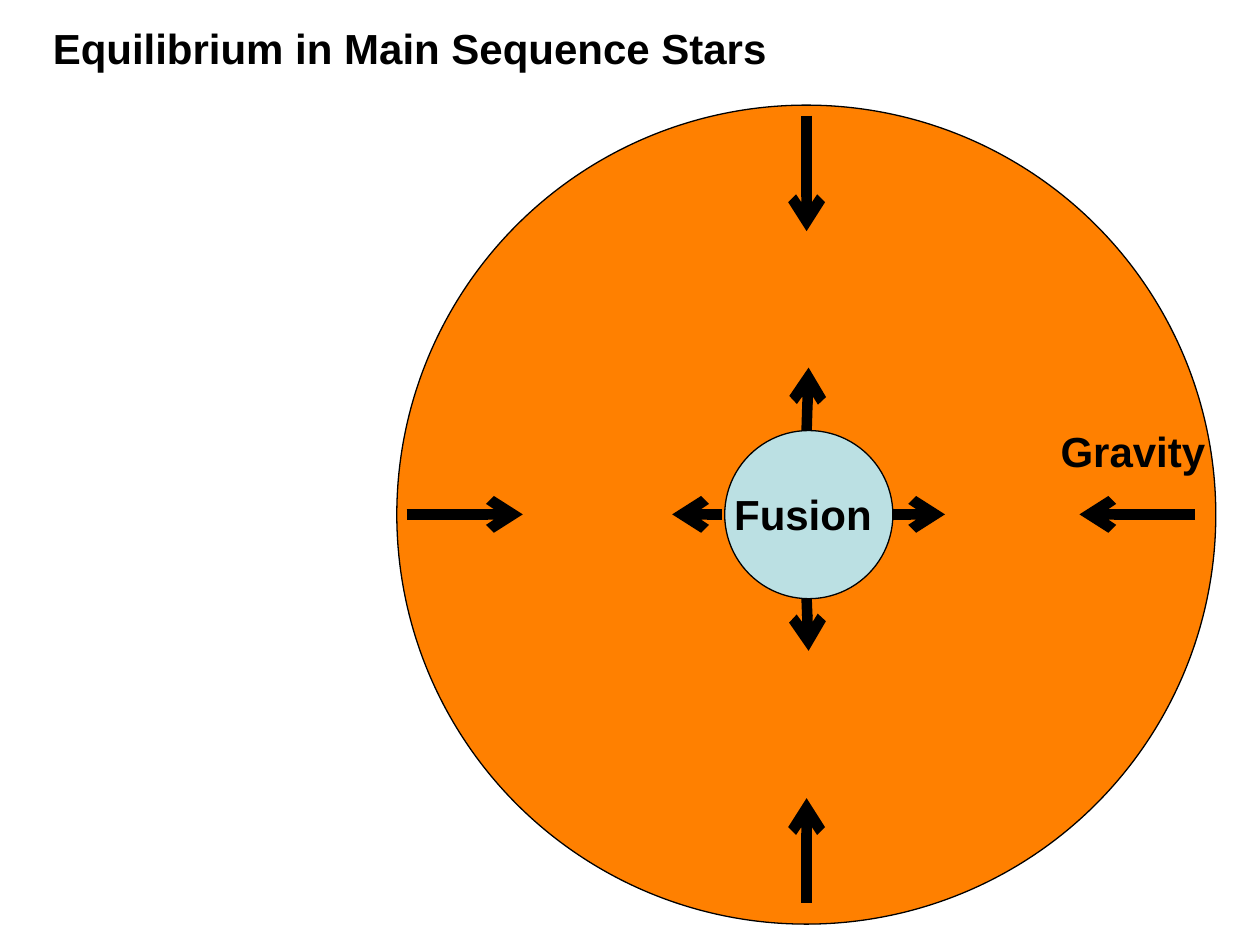
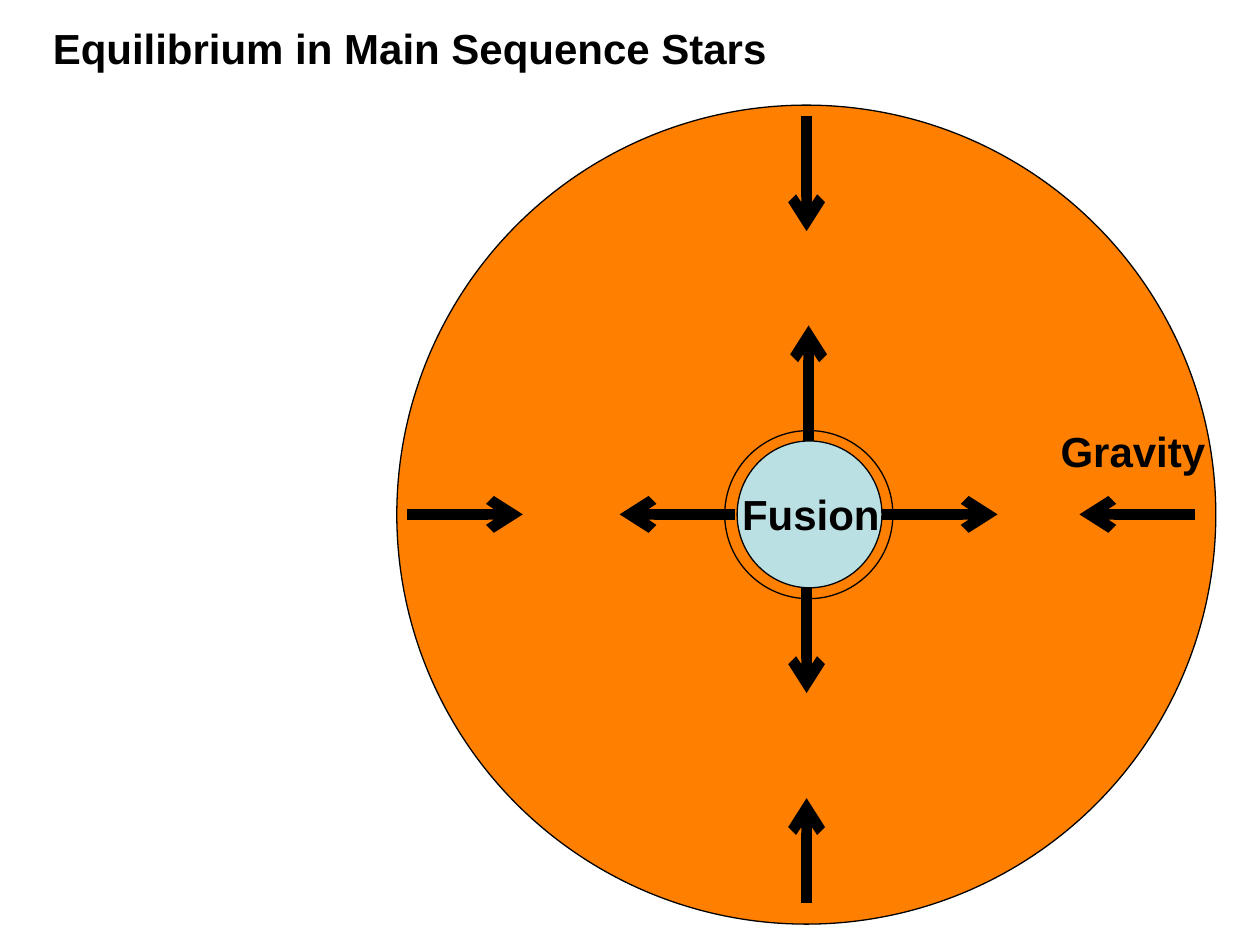
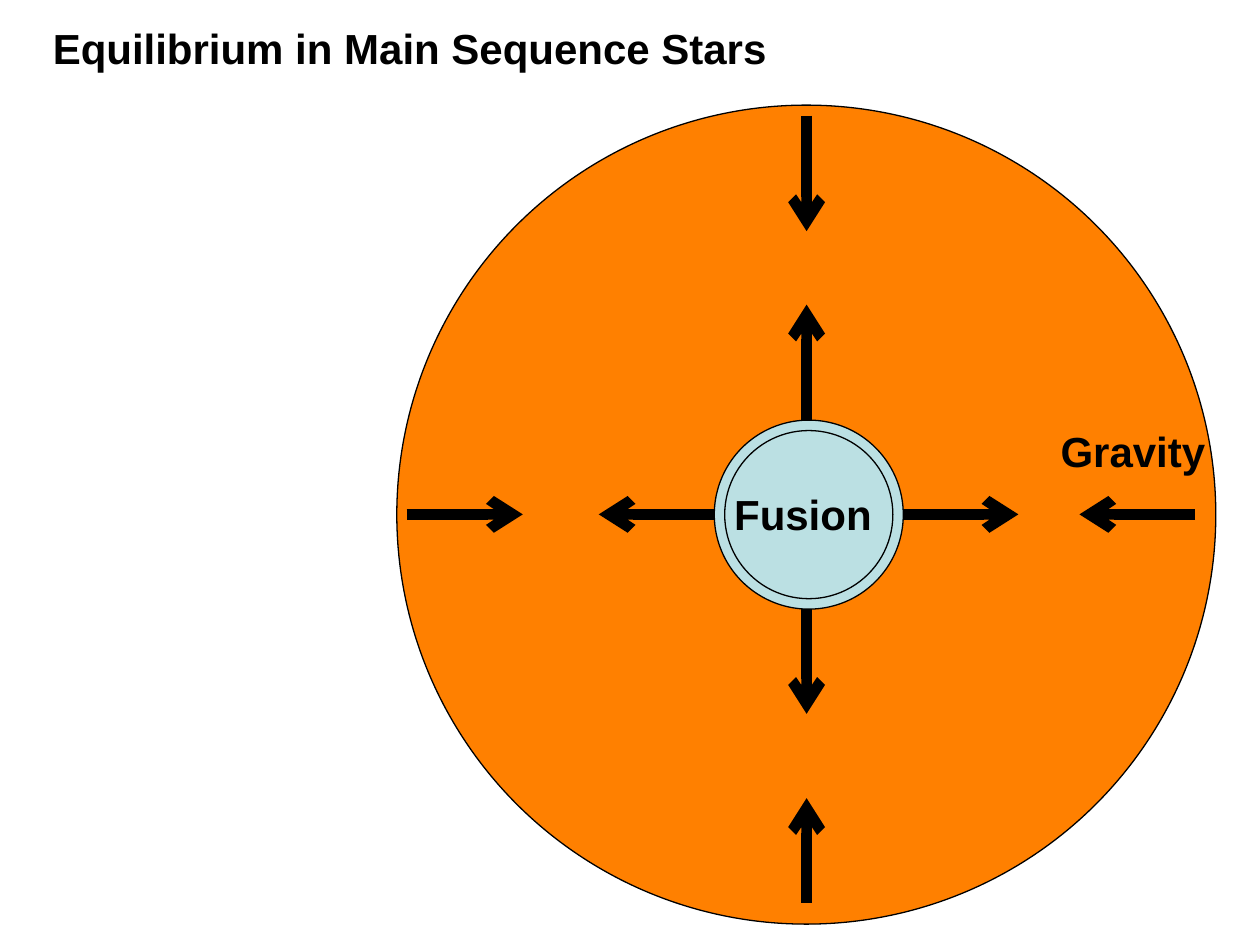
"""Build three slides on the balance of gravity and fusion in main sequence stars."""
from dataclasses import dataclass

from lxml.etree import SubElement
from pptx import Presentation
from pptx.dml.color import RGBColor
from pptx.enum.shapes import MSO_CONNECTOR, MSO_SHAPE
from pptx.enum.text import MSO_ANCHOR, MSO_AUTO_SIZE, PP_ALIGN
from pptx.oxml.ns import qn
from pptx.util import Cm, Pt


@dataclass(frozen=True)
class Theme:
    ink: RGBColor = RGBColor(0x00, 0x00, 0x00)
    star: RGBColor = RGBColor(0xFF, 0x80, 0x00)
    core: RGBColor = RGBColor(0xBB, 0xE0, 0xE3)
    font: str = "Arial"
    text_size: Pt = Pt(24)
    outline: Pt = Pt(0.75)
    force: Pt = Pt(6)


THEME = Theme()


def write(frame, wording):
    frame.word_wrap = False
    frame.auto_size = MSO_AUTO_SIZE.NONE
    frame.vertical_anchor = MSO_ANCHOR.TOP
    paragraph = frame.paragraphs[0]
    paragraph.alignment = PP_ALIGN.LEFT
    run = paragraph.add_run()
    run.text = wording
    run.font.name = THEME.font
    run.font.size = THEME.text_size
    run.font.bold = True
    run.font.color.rgb = THEME.ink


def add_disc(slide, bounds, fill=None):
    disc = slide.shapes.add_shape(MSO_SHAPE.OVAL, *map(Cm, bounds))
    disc.shadow.inherit = False
    if fill is None:
        disc.fill.background()
    else:
        disc.fill.solid()
        disc.fill.fore_color.rgb = fill
    disc.line.color.rgb = THEME.ink
    disc.line.width = THEME.outline


MID_X, MID_Y = 16.26, 10.37
STAR = (8, 2.12, 16.51, 16.51)
RESTING_CORE = (14.61, 8.68, 3.39, 3.39)
GRAVITY = [
    (24.09, MID_Y, 21.76, MID_Y),
    (8.2, MID_Y, 10.54, MID_Y),
    (MID_X, 2.33, MID_X, 4.66),
    (MID_X, 18.2, MID_X, 16.09),
]
STAGES = [
    {
        "core": RESTING_CORE,
        "fusion_left": 14.55,
        "ring": False,
        "pressure": [
            (17.99, MID_Y, 19.05, MID_Y),
            (14.55, MID_Y, 13.55, MID_Y),
            (MID_X, 8.68, 16.3, 7.41),
            (MID_X, 12.07, 16.3, 13.12),
        ],
    },
    {
        "core": (14.86, 8.89, 2.92, 2.96),
        "fusion_left": 14.71,
        "ring": True,
        "pressure": [
            (17.78, MID_Y, 20.11, MID_Y),
            (14.82, MID_Y, 12.49, MID_Y),
            (16.3, 8.89, 16.3, 6.56),
            (MID_X, 11.85, MID_X, 13.97),
        ],
    },
    {
        "core": (14.4, 8.47, 3.81, 3.81),
        "fusion_left": 14.55,
        "ring": True,
        "pressure": [
            (18.2, MID_Y, 20.53, MID_Y),
            (14.39, MID_Y, 12.07, MID_Y),
            (MID_X, 8.47, MID_X, 6.14),
            (MID_X, 12.28, MID_X, 14.39),
        ],
    },
]

deck = Presentation()
deck.slide_width, deck.slide_height = Cm(25.4), Cm(19.05)

for stage in STAGES:
    slide = deck.slides.add_slide(deck.slide_layouts[5])
    title = slide.shapes.title
    title.left, title.top, title.width, title.height = map(Cm, (0.81, 0.33, 14.91, 1.27))
    write(title.text_frame, "Equilibrium in Main Sequence Stars")

    add_disc(slide, STAR, THEME.star)
    add_disc(slide, stage["core"], THEME.core)

    for wording, left, top, width in [
        ("Gravity", 21.13, 8.46, 3.43),
        ("Fusion", stage["fusion_left"], 9.73, 3.28),
    ]:
        label = slide.shapes.add_textbox(Cm(left), Cm(top), Cm(width), Cm(1.27))
        write(label.text_frame, wording)

    for ends in GRAVITY + stage["pressure"]:
        force = slide.shapes.add_connector(MSO_CONNECTOR.STRAIGHT, *map(Cm, ends))
        force.line.color.rgb = THEME.ink
        force.line.width = THEME.force
        SubElement(force.line._get_or_add_ln(), qn("a:tailEnd"), type="arrow")
        SubElement(force._element.spPr, qn("a:effectLst"))

    if stage["ring"]:
        add_disc(slide, RESTING_CORE)

deck.save("out.pptx")
